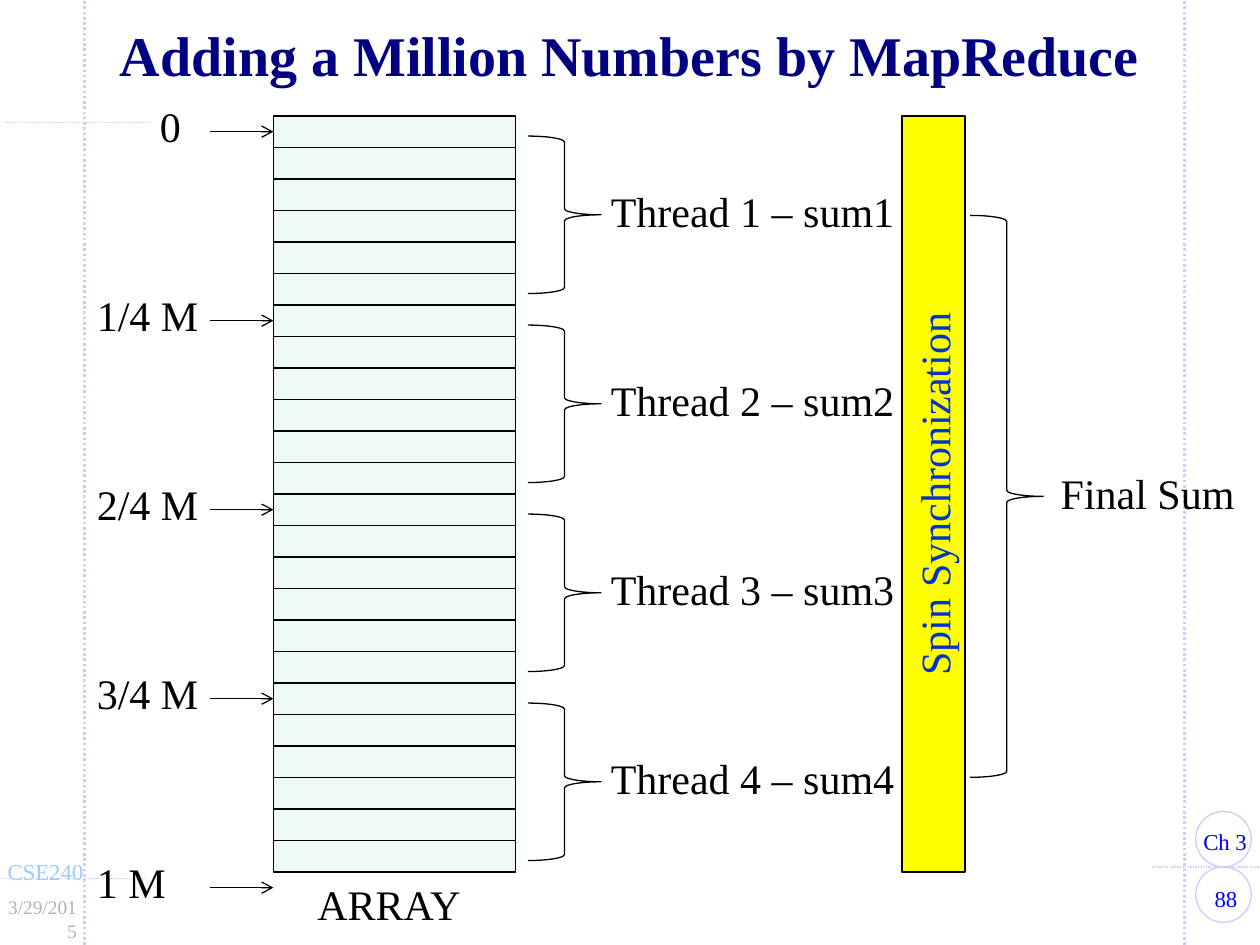
from dataclasses import dataclass

from lxml.etree import SubElement
from pptx import Presentation
from pptx.dml.color import RGBColor
from pptx.enum.dml import MSO_LINE
from pptx.enum.shapes import MSO_CONNECTOR, MSO_SHAPE
from pptx.enum.text import MSO_ANCHOR, PP_ALIGN
from pptx.oxml.ns import qn
from pptx.util import Inches, Pt

FONT = "Times New Roman"
BLACK, PALE, GUIDE = "000000", "EEF9F4", "CCCCFF"
ROWS, ROWS_PER_THREAD, ROW_HEIGHT = 24, 6, 0.25
ARRAY_LEFT, ARRAY_TOP, ARRAY_WIDTH = 2.17, 0.92, 1.92
ARROW_LEFT = 1.67


@dataclass
class Label:
    text: str
    left: float
    top: float
    width: float
    height: float = 0.5
    size: float = 24
    color: str = BLACK
    align: PP_ALIGN = PP_ALIGN.LEFT
    wrap: bool = False
    inset: float = 0.1


@dataclass
class Guide:
    x1: float
    y1: float
    x2: float
    y2: float
    weight: float


MARGIN_GUIDES = [
    Guide(0.67, 7.5, 0.67, 0, 1.5),
    Guide(9.4, 7.5, 9.4, 0, 1.5),
    Guide(0, 6.97, 1.15, 6.97, 0.75),
    Guide(9.14, 6.88, 10.05, 6.88, 0.75),
    Guide(0.05, 0.97, 1.2, 0.97, 0.75),
]
# The chapter and course boxes have spare width so each stays on one line
MARGIN_LABELS = [
    Label("88", 9.44, 6.97, 0.58, 0.32, 13, "0000FF", PP_ALIGN.CENTER, True, 0.11),
    Label("Ch 3", 9.44, 6.52, 0.66, 0.32, 13, "0000FF", inset=0.11),
    Label("CSE240", -0.05, 6.76, 0.91, 0.32, 13, "99CCFF", inset=0.11),
    Label("3/29/2015", -0.11, 7.06, 0.83, 0.29, 11, "B2B2B2", PP_ALIGN.RIGHT, True, 0.11),
]
INDEX_LABELS = [
    Label("0", 1.17, 0.75, 0.37),
    Label("1/4 M", 0.67, 2.25, 1.02),
    Label("2/4 M", 0.67, 3.75, 1.02),
    Label("3/4 M", 0.67, 5.25, 1.02),
    Label("1 M", 0.67, 6.75, 0.75),
]


def rgb(color: str) -> RGBColor:
    return RGBColor.from_string(color)


def style_text(paragraph, size: float, color: str, align: PP_ALIGN, bold: bool = False) -> None:
    paragraph.alignment = align
    font = paragraph.font
    font.name, font.size, font.bold = FONT, Pt(size), bold
    font.color.rgb = rgb(color)


def add_label(slide, label: Label):
    box = slide.shapes.add_textbox(
        Inches(label.left), Inches(label.top), Inches(label.width), Inches(label.height))
    frame = box.text_frame
    frame.word_wrap = label.wrap
    frame.margin_left = frame.margin_right = Inches(label.inset)
    frame.text = label.text
    style_text(frame.paragraphs[0], label.size, label.color, label.align)
    return box


def add_figure(slide, kind: MSO_SHAPE, left: float, top: float, width: float,
               height: float, fill: str = "", line: str = BLACK):
    shape = slide.shapes.add_shape(
        kind, Inches(left), Inches(top), Inches(width), Inches(height))
    shape.shadow.inherit = False
    if fill:
        shape.fill.solid()
        shape.fill.fore_color.rgb = rgb(fill)
    else:
        shape.fill.background()
    shape.line.color.rgb = rgb(line)
    shape.line.width = Pt(0.75)
    return shape


def add_line(slide, x1: float, y1: float, x2: float, y2: float, color: str, weight: float):
    connector = slide.shapes.add_connector(
        MSO_CONNECTOR.STRAIGHT, Inches(x1), Inches(y1), Inches(x2), Inches(y2))
    connector.line.color.rgb = rgb(color)
    connector.line.width = Pt(weight)
    SubElement(connector._element.spPr, qn("a:effectLst"))
    return connector


def add_arrow(slide, y: float):
    arrow = add_line(slide, ARROW_LEFT, y, ARRAY_LEFT, y, BLACK, 0.75)
    SubElement(arrow.line._get_or_add_ln(), qn("a:tailEnd"), type="arrow")
    return arrow


def add_margins(slide) -> None:
    for guide in MARGIN_GUIDES:
        line = add_line(slide, guide.x1, guide.y1, guide.x2, guide.y2, GUIDE, guide.weight)
        line.line.dash_style = MSO_LINE.ROUND_DOT
    for top in (6.88, 6.44):
        add_figure(slide, MSO_SHAPE.OVAL, 9.49, top, 0.44, 0.44, line=GUIDE)
    for label in MARGIN_LABELS:
        add_label(slide, label)


def add_title(slide) -> None:
    title = slide.shapes.title
    title.left, title.top = Inches(0.73), Inches(0.16)
    title.width, title.height = Inches(8.54), Inches(0.62)
    frame = title.text_frame
    frame.text = "Adding a Million Numbers by MapReduce"
    frame.vertical_anchor = MSO_ANCHOR.MIDDLE
    paragraph = frame.paragraphs[0]
    paragraph.line_spacing = 0.85
    style_text(paragraph, 32, "000080", PP_ALIGN.CENTER, bold=True)


def main() -> None:
    presentation = Presentation()
    presentation.slide_width, presentation.slide_height = Inches(10), Inches(7.5)
    slide = presentation.slides.add_slide(presentation.slide_layouts[5])
    add_title(slide)
    add_margins(slide)

    # Array cells
    cells = [
        add_figure(slide, MSO_SHAPE.RECTANGLE, ARRAY_LEFT, ARRAY_TOP + row * ROW_HEIGHT,
                   ARRAY_WIDTH, ROW_HEIGHT, PALE)
        for row in range(ROWS)
    ]
    add_label(slide, Label("ARRAY", 2.42, 6.92, 1.35))

    # Index marks: each quarter's first cell, then the end of the array
    for number, label in enumerate(INDEX_LABELS):
        add_label(slide, label)
        row = number * ROWS_PER_THREAD
        arrow = add_arrow(slide, ARRAY_TOP + (row + 0.5) * ROW_HEIGHT)
        if row < ROWS:
            arrow.end_connect(cells[row], 1)

    # One brace and partial sum per thread
    for number in range(ROWS // ROWS_PER_THREAD):
        offset = number * ROWS_PER_THREAD * ROW_HEIGHT
        add_figure(slide, MSO_SHAPE.RIGHT_BRACE, 4.19, 1.08 + offset, 0.58, 1.25)
        add_label(slide, Label(f"Thread {number + 1} – sum{number + 1}",
                               4.75, 1.42 + offset, 2.47))

    # Synchronization bar and final sum
    add_figure(slide, MSO_SHAPE.RIGHT_BRACE, 7.7, 1.71, 0.58, 4.46)
    add_label(slide, Label("Final Sum", 8.32, 3.66, 1.59))
    bar = add_figure(slide, MSO_SHAPE.RECTANGLE, 4.41, 3.67, 6, 0.5, "FFFF00")
    bar.rotation = 270
    bar.text_frame.text = "Spin Synchronization"
    style_text(bar.text_frame.paragraphs[0], 24, "0033CC", PP_ALIGN.CENTER)

    presentation.save("out.pptx")


if __name__ == "__main__":
    main()
